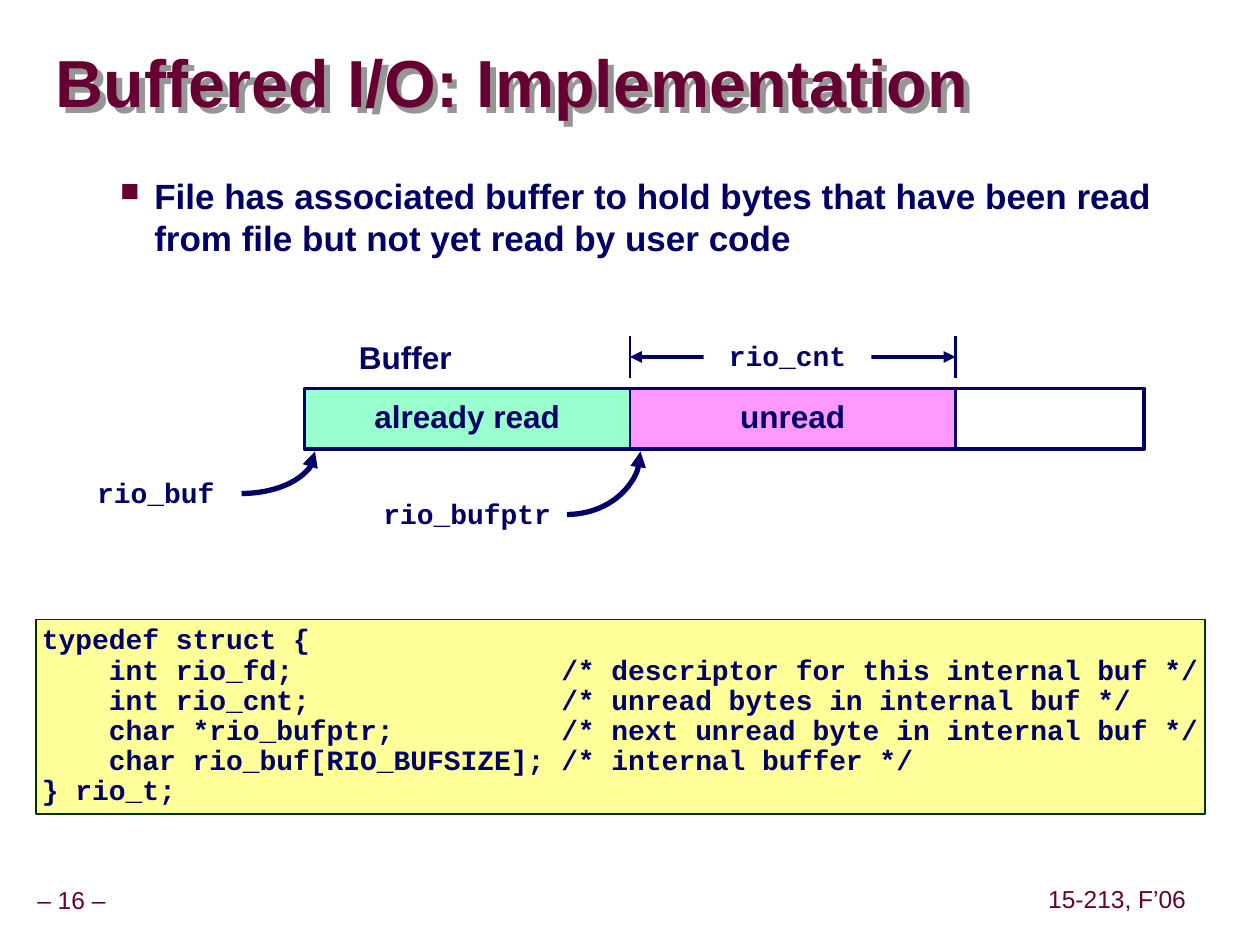
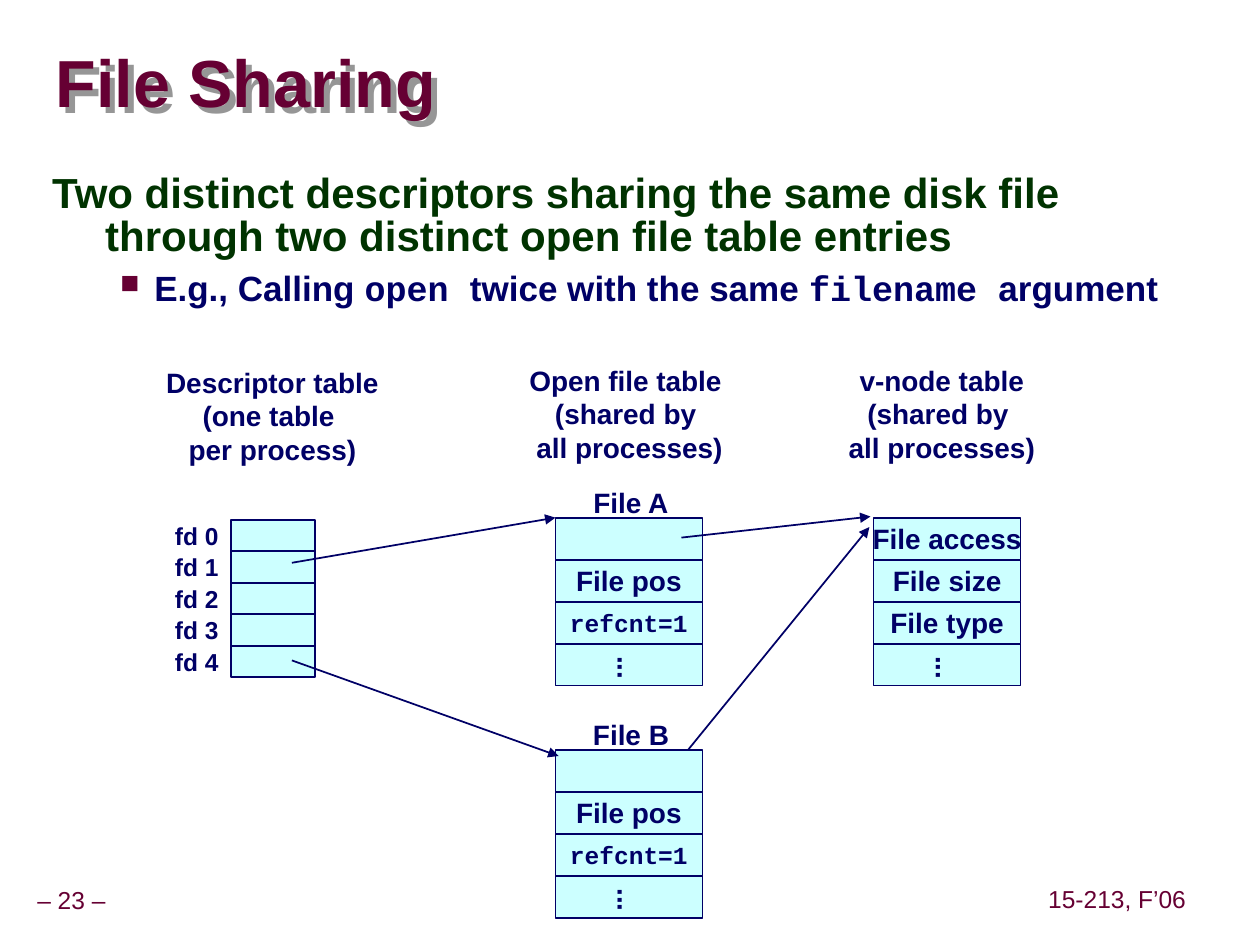
from dataclasses import dataclass

from lxml import etree
from pptx import Presentation
from pptx import util as u
from pptx.dml.color import RGBColor
from pptx.enum import shapes, text
from pptx.oxml import ns

COLUMNS, ROWS = 120, 90
CENTER, LEFT, RIGHT = text.PP_ALIGN.CENTER, text.PP_ALIGN.LEFT, text.PP_ALIGN.RIGHT


@dataclass(frozen=True)
class Theme:
    sans: str = "Arial"
    mono: str = "Courier New"
    maroon: str = "660033"
    navy: str = "000066"
    green: str = "003300"
    shadow: str = "969696"
    white: str = "FFFFFF"
    read: str = "99FFCC"
    unread: str = "FF99FF"
    code: str = "FFFF99"
    cell: str = "CCFFFF"
    title_size: float = 38
    topic_size: float = 24
    bullet_size: float = 20
    diagram_size: float = 18
    label_size: float = 16
    small_size: float = 14


THEME = Theme()


@dataclass(frozen=True)
class Style:
    size: float
    color: str = THEME.navy
    font: str = THEME.sans
    bold: bool = True


TITLE = Style(THEME.title_size, THEME.maroon)
TOPIC = Style(THEME.topic_size, THEME.green)
BULLET = Style(THEME.bullet_size)
BULLET_CODE = Style(THEME.bullet_size, font=THEME.mono)
DIAGRAM = Style(THEME.diagram_size)
LABEL = Style(THEME.label_size)
CODE = Style(THEME.label_size, font=THEME.mono)
SMALL = Style(THEME.small_size)
SMALL_CODE = Style(THEME.small_size, font=THEME.mono)
FOOTER = Style(THEME.small_size, THEME.maroon, bold=False)


def across(columns):
    return u.Inches(10 * columns / COLUMNS)


def down(rows):
    return u.Inches(7.5 * rows / ROWS)


def place(left, top, width, height):
    return across(left), down(top), across(width), down(height)


def add_element(parent, tag, **attributes):
    return etree.SubElement(parent, ns.qn(tag), attributes)


def add_run(paragraph, content, style):
    run = paragraph.add_run()
    run.text = content
    font = run.font
    font.name, font.size, font.bold = style.font, u.Pt(style.size), style.bold
    font.color.rgb = RGBColor.from_string(style.color)


def prepare_frame(shape, wrap=False, anchor=text.MSO_ANCHOR.MIDDLE, insets=(0.1, 0.05)):
    frame = shape.text_frame
    frame.word_wrap = wrap
    frame.vertical_anchor = anchor
    frame.margin_left = frame.margin_right = u.Inches(insets[0])
    frame.margin_top = frame.margin_bottom = u.Inches(insets[1])
    return frame


def write_lines(shape, lines, style, align=CENTER, spacing=1.0, **frame_options):
    frame = prepare_frame(shape, **frame_options)
    for index, line in enumerate(lines):
        paragraph = frame.add_paragraph() if index else frame.paragraphs[0]
        paragraph.alignment = align
        paragraph.line_spacing = spacing
        add_run(paragraph, line, style)


def add_label(slide, box, lines, style, **options):
    shape = slide.shapes.add_textbox(*place(*box))
    write_lines(shape, lines, style, **options)
    return shape


def add_outline(shape, color, width):
    shape.line.color.rgb = RGBColor.from_string(color)
    shape.line.width = u.Pt(width)


def add_box(slide, box, fill=None, line=THEME.navy, width=1.0):
    shape = slide.shapes.add_shape(shapes.MSO_SHAPE.RECTANGLE, *place(*box))
    shape.shadow.inherit = False
    if fill:
        shape.fill.solid()
        shape.fill.fore_color.rgb = RGBColor.from_string(fill)
    else:
        shape.fill.background()
    if line:
        add_outline(shape, line, width)
    else:
        shape.line.fill.background()
    return shape


def add_arrowheads(shape, *ends):
    line = shape.line._get_or_add_ln()
    for end in ends:
        add_element(line, f"a:{end}", type="triangle")


def add_line(slide, start, finish, width=1.0, ends=()):
    connector = slide.shapes.add_connector(
        shapes.MSO_CONNECTOR.STRAIGHT,
        across(start[0]), down(start[1]), across(finish[0]), down(finish[1]))
    add_outline(connector, THEME.navy, width)
    add_arrowheads(connector, *ends)
    add_element(connector._element.spPr, "a:effectLst")


def add_pointer(slide, center, width, height):
    box = place(center[0] - width / 2, center[1] - height / 2, width, height)
    arc = slide.shapes.add_shape(shapes.MSO_SHAPE.ARC, *box)
    arc.adjustments[0], arc.adjustments[1] = 0, 54
    arc.shadow.inherit = False
    arc.fill.background()
    add_outline(arc, THEME.navy, 3)
    add_arrowheads(arc, "headEnd")


def add_title(slide, title):
    shape = add_label(slide, (5.3, 3.2, 114.4, 10.2), [title], TITLE,
                      align=LEFT, spacing=0.87, wrap=True, insets=(0, 0))
    effects = add_element(shape._element.spPr, "a:effectLst")
    shadow = add_element(effects, "a:outerShdw", dist="58000", dir="2700000", algn="ctr", rotWithShape="0")
    add_element(shadow, "a:srgbClr", val=THEME.shadow)


def add_footers(slide, number):
    for box, content in (((0, 84, 13.6, 3.7), f"– {number} –"),
                         ((99.2, 83.9, 14.4, 3.7), "15-213, F’06")):
        add_label(slide, box, [content], FOOTER, spacing=0.9, insets=(0.05, 0.05))


def start_slide(presentation, title, number):
    slide = presentation.slides.add_slide(presentation.slide_layouts[6])
    add_footers(slide, number)
    add_title(slide, title)
    return slide


def add_body(slide):
    shape = slide.shapes.add_textbox(*place(3.8, 16, 109, 14.5))
    return prepare_frame(shape, wrap=True, anchor=text.MSO_ANCHOR.TOP)


def set_indent(paragraph, margin, hanging):
    properties = paragraph._p.get_or_add_pPr()
    properties.set("marL", str(u.Inches(margin)))
    properties.set("indent", str(-u.Inches(hanging)))
    return properties


def write_bullet(paragraph, runs, spacing=1.0):
    paragraph.line_spacing = spacing
    properties = set_indent(paragraph, 0.81, 0.27)
    color = add_element(properties, "a:buClr")
    add_element(color, "a:srgbClr", val=THEME.maroon)
    add_element(properties, "a:buSzPct", val="75000")
    add_element(properties, "a:buChar", char="■")
    for content, style in runs:
        add_run(paragraph, content, style)


def add_cells(slide, left, top, entries, width=14, height=4):
    for index, (content, style) in enumerate(entries):
        cell = add_box(slide, (left, top + index * height, width, height), THEME.cell)
        if content == "...":
            write_lines(cell, [content], style, insets=(0.05, 0.1))
            cell.text_frame._txBody.bodyPr.set("vert", "eaVert")
        elif content:
            write_lines(cell, [content], style)


def build_buffer_slide(presentation):
    slide = start_slide(presentation, "Buffered I/O: Implementation", 16)
    write_bullet(add_body(slide).paragraphs[0], [
        ("File has associated buffer to hold bytes that have been read "
         "from file but not yet read by user code", BULLET)])

    start, split, stop, end = 29, 60, 91, 109
    top, height = 37, 5.75
    for left, right, fill, content in ((split, stop, THEME.unread, "unread"),
                                       (start, split, THEME.read, "already read")):
        part = add_box(slide, (left, top, right - left, height), fill, width=1.5)
        write_lines(part, [content], DIAGRAM, spacing=0.9)
    add_box(slide, (start, top, end - start, height), width=2.25)
    add_label(slide, (33, 32, 11.2, 4.4), ["Buffer"], DIAGRAM, spacing=0.9)

    add_pointer(slide, (23, 43), 14, 8)
    add_pointer(slide, (54, 43), 14, 12)
    add_label(slide, (8, 45, 13.7, 4.1), ["rio_buf"], CODE, spacing=0.9)
    add_label(slide, (34, 47, 21, 4.1), ["rio_bufptr"], CODE, spacing=0.9)

    for edge in (split, stop):
        add_line(slide, (edge, 36), (edge, 32), 1.5)
    add_line(slide, (split, 34), (stop, 34), 2.25, ("headEnd", "tailEnd"))
    count = add_box(slide, (67, 32, 16, 4.1), THEME.white, line=None)
    write_lines(count, ["rio_cnt"], CODE, spacing=0.9)

    listing = add_box(slide, (3.4, 59, 111.4, 18.5), THEME.code, THEME.green)
    write_lines(listing, [
        "typedef struct {",
        "    int rio_fd;                /* descriptor for this internal buf */",
        "    int rio_cnt;               /* unread bytes in internal buf */",
        "    char *rio_bufptr;          /* next unread byte in internal buf */",
        "    char rio_buf[RIO_BUFSIZE]; /* internal buffer */",
        "} rio_t;",
    ], CODE, align=LEFT, spacing=0.9, anchor=text.MSO_ANCHOR.TOP, insets=(0.05, 0.05))


def build_sharing_slide(presentation):
    slide = start_slide(presentation, "File Sharing", 23)
    body = add_body(slide)
    topic = body.paragraphs[0]
    topic.line_spacing = 0.85
    set_indent(topic, 0.42, 0.42)
    add_run(topic, "Two distinct descriptors sharing the same disk file "
                   "through two distinct open file table entries", TOPIC)
    example = body.add_paragraph()
    example.space_before = u.Pt(6.2)
    write_bullet(example, [
        ("E.g., Calling ", BULLET), ("open ", BULLET_CODE),
        ("twice with the same ", BULLET), ("filename ", BULLET_CODE),
        ("argument", BULLET)], spacing=0.9)

    for box, lines in (
            ((14.6, 34.2, 22.7, 10.8), ("Descriptor table", "(one table ", "per process)")),
            ((49.2, 34, 21.5, 10.8), ("Open file table ", "(shared by ", "all processes)")),
            ((79.6, 34, 20.2, 10.8), ("v-node table", "(shared by ", "all processes)"))):
        add_label(slide, box, lines, LABEL)

    add_cells(slide, 22, 49.5, [("", SMALL)] * 5, width=8, height=3)
    for number in range(5):
        add_label(slide, (14, 49.5 + 3 * number, 8, 3), [f"fd {number}"], SMALL,
                  align=RIGHT, wrap=True)

    add_line(slide, (64, 73.3), (82.8, 50.2), ends=("tailEnd",))
    open_file = [("", LABEL), ("File pos", LABEL), ("refcnt=1", SMALL_CODE), ("...", LABEL)]
    for name, top in (("File A", 49.3), ("File B", 71.4)):
        add_cells(slide, 52.9, top, open_file)
        add_label(slide, (55.3, top - 3.7, 9.6, 4.4), [name], LABEL)
    add_cells(slide, 83.2, 49.3, [
        (content, LABEL) for content in ("File access", "File size", "File type", "...")])

    for start, finish in (((27.8, 53.6), (52.9, 49.3)),
                          ((27.8, 62.9), (53.2, 72)),
                          ((64.9, 51.2), (82.9, 49.2))):
        add_line(slide, start, finish, ends=("tailEnd",))


def main():
    presentation = Presentation()
    presentation.slide_width = across(COLUMNS)
    presentation.slide_height = down(ROWS)
    build_buffer_slide(presentation)
    build_sharing_slide(presentation)
    presentation.save("out.pptx")


if __name__ == "__main__":
    main()
